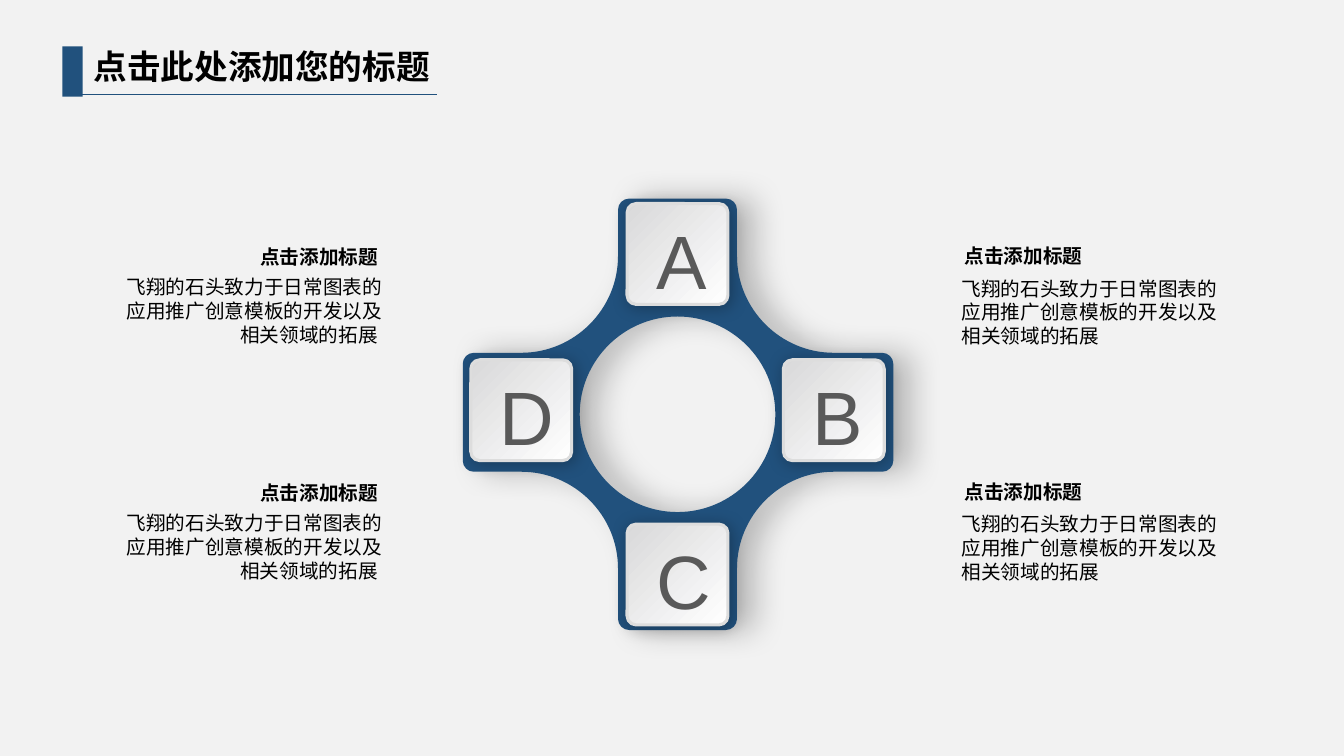
from dataclasses import dataclass
from math import cos, radians, sin

from lxml import etree
from pptx import Presentation
from pptx import util as u
from pptx.dml.color import RGBColor
from pptx.enum import shapes, text
from pptx.oxml import ns


@dataclass(frozen=True)
class Theme:
    page: str = "F2F2F2"
    accent: str = "21517D"
    ink: str = "000000"
    letter: str = "595959"
    tile_dark: str = "D9D9DA"
    tile_light: str = "FFFFFF"
    tile_edge: str = "DDDDDD"
    latin: str = "Arial"
    chinese: str = "Noto Sans CJK SC"
    title_size: int = 24
    text_size: int = 14
    letter_size: int = 54


THEME = Theme()
TITLE = "点击此处添加您的标题"
HEADING = "点击添加标题"
BODY = "飞翔的石头致力于日常图表的应用推广创意模板的开发以及相关领域的拓展"
UNITS = 1000  # outline units per inch


def colour(value):
    return RGBColor.from_string(value)


def add_effects(shape, shadow=None):
    """Give an effect list; shadow is opacity %, blur, distance, angle."""
    effects = etree.SubElement(shape._element.spPr, ns.qn("a:effectLst"))
    if shadow:
        opacity, blur, distance, angle = shadow
        outer = etree.SubElement(
            effects, ns.qn("a:outerShdw"), blurRad=str(u.Pt(blur)),
            dist=str(u.Pt(distance)), dir=str(angle * 60000),
            algn="ctr", rotWithShape="0")
        tint = etree.SubElement(outer, ns.qn("a:srgbClr"), val=THEME.ink)
        etree.SubElement(tint, ns.qn("a:alpha"), val=str(opacity * 1000))


def add_text(parent, box, words, size, font, ink, bold=False,
             align=text.PP_ALIGN.LEFT, spacing=None):
    label = parent.add_textbox(*map(u.Inches, box))
    frame = label.text_frame
    frame.word_wrap = True
    frame.text = words
    para = frame.paragraphs[0]
    para.alignment = align
    if spacing:
        para.line_spacing = u.Pt(spacing)
    span = para.runs[0]
    span.font.size = u.Pt(size)
    span.font.name = font
    span.font.bold = bold
    span.font.color.rgb = colour(ink)
    etree.SubElement(span._r.get_or_add_rPr(), ns.qn("a:ea"), typeface=font)
    return frame


def add_title(page, left, top):
    parts = page.shapes.add_group_shape().shapes
    bar = parts.add_shape(shapes.MSO_SHAPE.RECTANGLE, u.Inches(left),
                          u.Inches(top), u.Inches(0.2), u.Inches(0.5))
    bar.fill.solid()
    bar.fill.fore_color.rgb = colour(THEME.accent)
    bar.line.fill.background()
    bar.shadow.inherit = False
    rule_y = u.Inches(top + 0.48)
    rule = parts.add_connector(shapes.MSO_CONNECTOR.STRAIGHT, u.Inches(left + 0.14),
                               rule_y, u.Inches(left + 3.71), rule_y)
    rule.line.color.rgb = colour(THEME.accent)
    rule.line.width = u.Pt(0.5)
    add_effects(rule)
    add_text(parts, (left + 0.21, top - 0.06, 3.92, 0.5), TITLE,
             THEME.title_size, THEME.chinese, THEME.ink, bold=True, spacing=29)


def quarter(x, y, radius, start, sweep):
    """Start, two handles and end of a quarter circle; sweep is 90 or -90."""
    first, last = radians(start), radians(start + sweep)
    handle = 0.55 if sweep > 0 else -0.55
    points = [(cos(first), sin(first)),
              (cos(first) - handle * sin(first), sin(first) + handle * cos(first)),
              (cos(last) + handle * sin(last), sin(last) - handle * cos(last)),
              (cos(last), sin(last))]
    return [(x + radius * dx, y + radius * dy) for dx, dy in points]


def chain(arcs):
    """Join arcs by straight sides, three points to every side and arc."""
    points = [arcs[0][0]]
    for arc in arcs:
        if arc is not arcs[0]:
            points += [arc[0]] * 3
        points += arc[1:]
    return [(x * UNITS, y * UNITS) for x, y in points]


def bend_segments(shape):
    """Turn each three line steps of an outline into one curve."""
    for outline in shape._element.iter(ns.qn("a:path")):
        steps = outline.findall(ns.qn("a:lnTo"))
        for first, second, third in zip(*[iter(steps)] * 3):
            first.tag = ns.qn("a:cubicBezTo")
            for step in (second, third):
                first.append(step[0])
                outline.remove(step)


def add_cross(page, x, y):
    """Four rounded arms joined by concave arcs, with a round hole."""
    half, corner, bend = 0.59, 0.11, 0.96
    arcs = []
    for turn, reach in enumerate((2.12, 2.14, 2.16, 2.13)):
        angle = 90 * turn
        c, s = round(cos(radians(angle))), round(sin(radians(angle)))
        inner, outer, far = half - corner, corner - reach, half + bend
        for dx, dy, radius, start, sweep in ((-inner, outer, corner, 180, 90),
                                             (inner, outer, corner, 270, 90),
                                             (far, -far, bend, 180, -90)):
            arcs.append(quarter(x + dx * c - dy * s, y + dx * s + dy * c,
                                radius, start + angle, sweep))
    hole = chain([quarter(x, y + 0.02, 0.97, start, -90)
                  for start in (360, 270, 180, 90)])
    rim = chain(arcs)

    builder = page.shapes.build_freeform(*rim[0], scale=u.Inches(1) / UNITS)
    builder.add_line_segments(rim[1:], close=True)
    builder.move_to(*hole[0])
    builder.add_line_segments(hole[1:], close=True)
    cross = builder.convert_to_shape()
    bend_segments(cross)
    cross.fill.solid()
    cross.fill.fore_color.rgb = colour(THEME.accent)
    cross.line.fill.background()
    add_effects(cross, (23, 22, 13, 0))


def add_tile(page, left, top, letter):
    tile = page.shapes.add_shape(shapes.MSO_SHAPE.ROUNDED_RECTANGLE, u.Inches(left),
                                 u.Inches(top), u.Inches(1), u.Inches(1))
    tile.adjustments[0] = 0.09
    tile.fill.gradient()
    tile.fill.gradient_angle = 315
    stops = tile.fill.gradient_stops
    for stop, place, tone in zip(stops, (0, 1), (THEME.tile_dark, THEME.tile_light)):
        stop.position = place
        stop.color.rgb = colour(tone)
    tile.line.color.rgb = colour(THEME.tile_edge)
    tile.line.width = u.Pt(2.25)
    add_effects(tile, (28, 12, 2, 45))

    frame = add_text(page.shapes, (left + 0.19, top + 0.06, 0.64, 0.75), letter,
                     THEME.letter_size, THEME.latin, THEME.letter)
    frame.margin_top = u.Inches(0.04)
    frame.margin_right = frame.margin_bottom = 0


def add_wheel(page, x, y):
    add_cross(page, x, y)
    offsets = {"A": (0, -1.57), "B": (1.55, -0.02), "C": (0, 1.61), "D": (-1.55, -0.02)}
    for letter, (dx, dy) in offsets.items():
        add_tile(page, x + dx - 0.5, y + dy - 0.5, letter)


def add_caption(page, left, top, on_left):
    parts = page.shapes.add_group_shape().shapes
    align = text.PP_ALIGN.RIGHT if on_left else text.PP_ALIGN.LEFT
    indent, drop = (1.26, 0.3) if on_left else (0.03, 0.32)
    body = BODY + " " if on_left else BODY
    add_text(parts, (left + indent, top, 1.53, 0.34), HEADING, THEME.text_size,
             THEME.chinese, THEME.ink, bold=True, align=align, spacing=17)
    add_text(parts, (left, top + drop, 2.83, 0.81), body, THEME.text_size,
             THEME.chinese, THEME.ink, align=align, spacing=17)


def main():
    deck = Presentation()
    deck.slide_width, deck.slide_height = u.Inches(13.33), u.Inches(7.5)
    page = deck.slides.add_slide(deck.slide_layouts[6])
    page.background.fill.solid()
    page.background.fill.fore_color.rgb = colour(THEME.page)

    # Wheel in the middle, captions on both sides, title on top
    add_wheel(page, 6.72, 4.09)
    for top in (2.38, 4.72):
        add_caption(page, 1.06, top, on_left=True)
        add_caption(page, 9.44, top - 0.01, on_left=False)
    add_title(page, 0.62, 0.46)
    deck.save("out.pptx")


if __name__ == "__main__":
    main()
